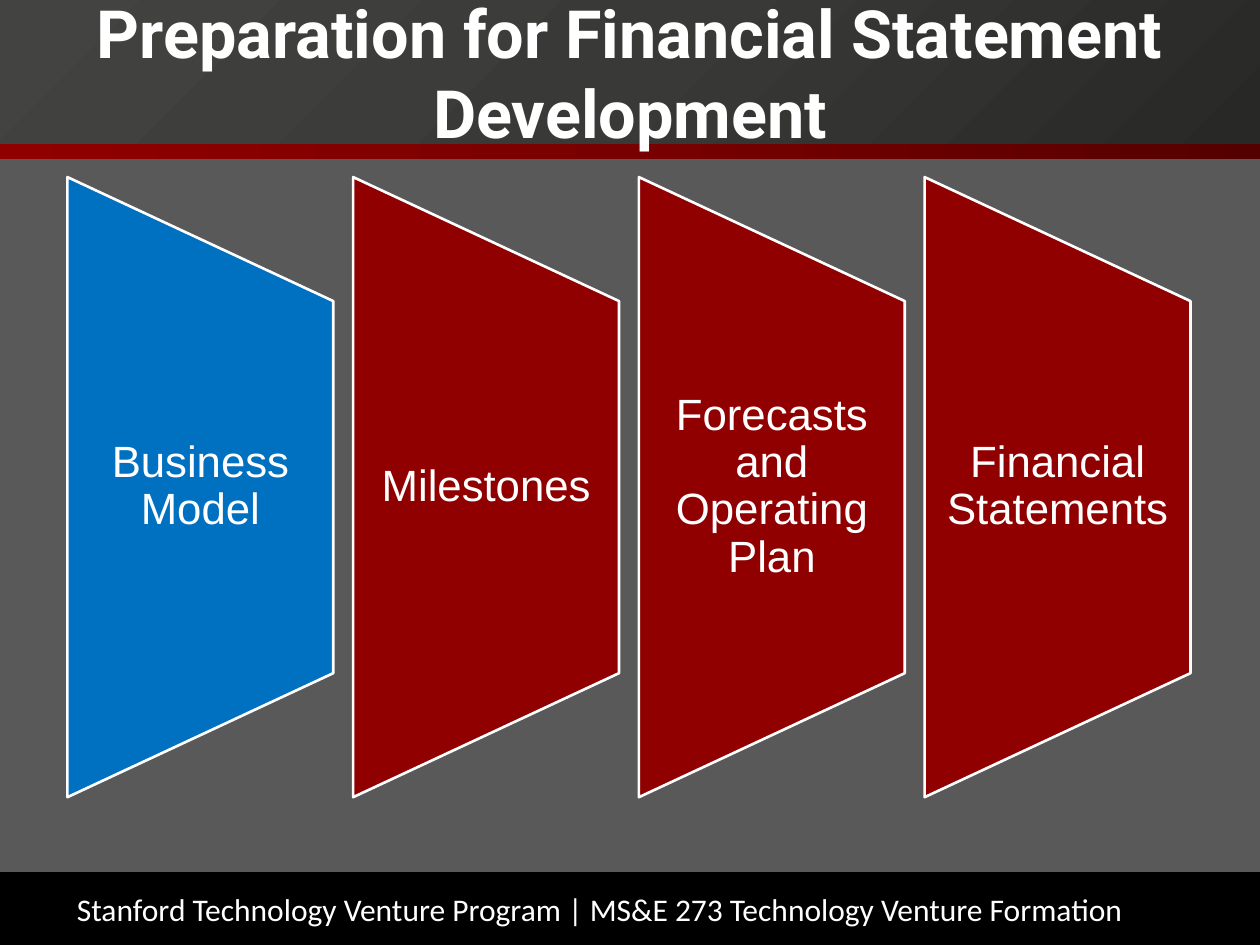
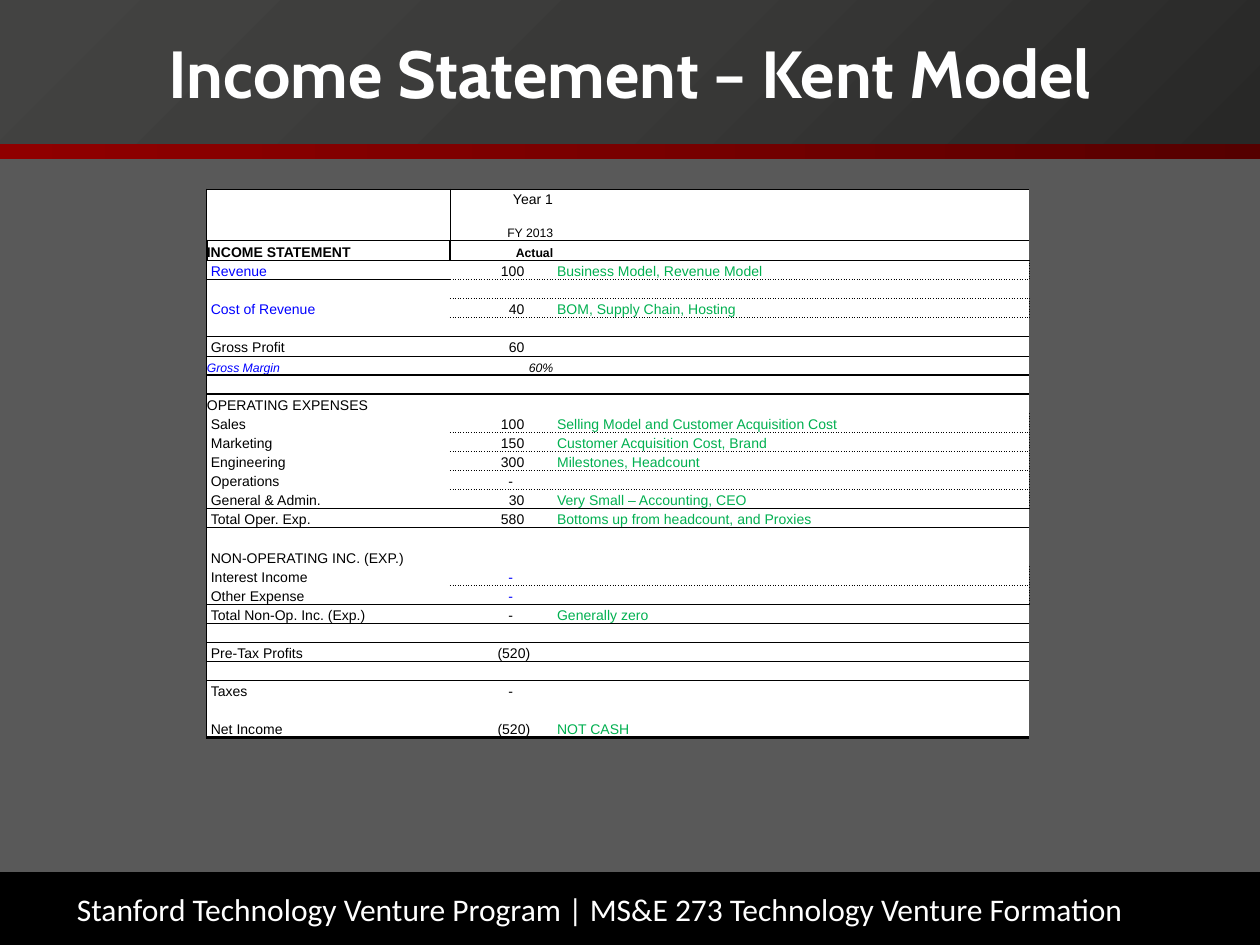
from dataclasses import dataclass
from typing import NamedTuple, Optional

from lxml import etree
from pptx import Presentation
from pptx import util as u
from pptx.dml.color import RGBColor
from pptx.enum import shapes, text
from pptx.oxml.ns import qn

WHITE, BLACK, GREY = "FFFFFF", "000000", "595959"
RED, BLUE = "900000", "0070C0"
INK_BLUE, NOTE_GREEN = "0000FF", "00B050"
TITLE_BAND = ["434342", "393938", "282827"]
RED_BAND = ["900000", "790000", "550000"]
PAGE_WIDTH, PAGE_HEIGHT = 25.4, 19.05
FOOTER = "Stanford Technology Venture Program | MS&E 273 Technology Venture Formation"
NO_TABLE_STYLE = "{2D5ABB26-0587-4C30-8999-92F81FD0307C}"

LEFT, CENTER, RIGHT = text.PP_ALIGN.LEFT, text.PP_ALIGN.CENTER, text.PP_ALIGN.RIGHT
MIDDLE, BOTTOM = text.MSO_ANCHOR.MIDDLE, text.MSO_ANCHOR.BOTTOM


class Area(NamedTuple):
    """A rectangle in centimetres."""
    left: float
    top: float
    width: float
    height: float

    def lengths(self) -> list:
        return [u.Cm(value) for value in self]


@dataclass(frozen=True)
class Look:
    size: float = 8
    color: str = BLACK
    bold: bool = False
    italic: bool = False
    font: str = "Arial"


class Rule(NamedTuple):
    """A line under a table row, drawn below the given columns."""
    width: float
    dash: str = "solid"
    columns: tuple = (0, 1, 2)


DOTS = Rule(0.5, "dot", (1, 2))
LINE, THICK, TOTAL = Rule(0.5), Rule(1), Rule(2)
BOX = Rule(1, "solid", (0,))

PLAIN, INPUT, NOTE = Look(), Look(color=INK_BLUE), Look(color=NOTE_GREEN)
SMALL = Look(7)


@dataclass(frozen=True)
class Row:
    label: str = ""
    amount: str = ""
    note: str = ""
    rule: Optional[Rule] = None
    label_look: Look = PLAIN
    amount_look: Look = PLAIN
    indent: float = 0.08


STATEMENT = [
    Row(amount="Year 1"),
    Row(amount="FY 2013", rule=LINE, amount_look=SMALL),
    Row("INCOME STATEMENT", "Actual", "", BOX, Look(bold=True), Look(7, bold=True), 0),
    Row("Revenue", "100", "Business Model, Revenue Model", DOTS, INPUT),
    Row(),
    Row("Cost of Revenue", "40", "BOM, Supply Chain, Hosting", DOTS, INPUT),
    Row(rule=LINE),
    Row("Gross Profit", "60"),
    Row("Gross Margin", "60%", "", THICK, Look(7, INK_BLUE, italic=True),
        Look(7, italic=True), 0),
    Row(),
    Row("OPERATING EXPENSES", indent=0),
    Row("Sales", "100", "Selling Model and Customer Acquisition Cost", DOTS),
    Row("Marketing", "150", "Customer Acquisition Cost, Brand", DOTS),
    Row("Engineering", "300", "Milestones, Headcount", DOTS),
    Row("Operations", "-", "", DOTS),
    Row("General & Admin.", "30", "Very Small – Accounting, CEO", LINE),
    Row("Total Oper. Exp.", "580", "Bottoms up from headcount, and Proxies"),
    Row(),
    Row("NON-OPERATING INC. (EXP.)"),
    Row("Interest Income", "-", "", DOTS, amount_look=INPUT),
    Row("Other Expense", "-", "", LINE, amount_look=INPUT),
    Row("Total Non-Op. Inc. (Exp.)", "-", "Generally zero"),
    Row(rule=LINE),
    Row("Pre-Tax Profits", "(520)", "", THICK),
    Row(),
    Row("Taxes", "-"),
    Row(),
    Row("Net Income", "(520)", "NOT CASH", TOTAL),
]
COLUMN_WIDTHS = [4.9, 2.08, 9.6]
HEADER_HEIGHTS = [0.38, 0.65, 0.41]
BODY_HEIGHT = 9.64


def rgb(color: str) -> RGBColor:
    return RGBColor.from_string(color)


def set_values(target, values: dict) -> None:
    for name, value in values.items():
        setattr(target, name, value)


def write(frame, words: str, look: Look, align=LEFT, spacing: Optional[float] = None) -> None:
    para = frame.paragraphs[0]
    para.alignment = align
    if spacing:
        para.line_spacing = spacing
    span = para.add_run()
    span.text = words
    set_values(span.font, {"name": look.font, "size": u.Pt(look.size),
                           "bold": look.bold, "italic": look.italic})
    span.font.color.rgb = rgb(look.color)


def add_block(page, kind, area: Area, fill: Optional[str] = None, line: Optional[str] = None):
    block = page.shapes.add_shape(kind, *area.lengths())
    block.shadow.inherit = False
    if fill:
        block.fill.solid()
        block.fill.fore_color.rgb = rgb(fill)
    if line:
        block.line.color.rgb = rgb(line)
        block.line.width = u.Pt(1.5)
    else:
        block.line.fill.background()
    return block


def add_band(page, area: Area, colors: list, angle: int) -> None:
    """Draw a bar whose gradient runs evenly through the colours."""
    band = add_block(page, shapes.MSO_SHAPE.RECTANGLE, area)
    band.fill.gradient()
    band.fill.gradient_angle = angle
    stops = band._element.spPr.find(qn("a:gradFill")).find(qn("a:gsLst"))
    for stop in list(stops):
        stops.remove(stop)
    for index, color in enumerate(colors):
        position = index * 100000 // (len(colors) - 1)
        stop = etree.SubElement(stops, qn("a:gs"), pos=str(position))
        etree.SubElement(stop, qn("a:srgbClr"), val=color)


def add_text(page, area: Area, words: str, look: Look, margin: float,
             spacing: Optional[float] = None) -> None:
    frame = page.shapes.add_textbox(*area.lengths()).text_frame
    set_values(frame, {"word_wrap": True, "vertical_anchor": MIDDLE,
                       "margin_left": u.Cm(margin), "margin_right": u.Cm(margin)})
    write(frame, words, look, CENTER, spacing)


def add_page(deck, title: str, title_font: str):
    page = deck.slides.add_slide(deck.slide_layouts[6])
    page.background.fill.solid()
    page.background.fill.fore_color.rgb = rgb(GREY)
    footer = add_block(page, shapes.MSO_SHAPE.RECTANGLE,
                       Area(0, 17.58, PAGE_WIDTH, 1.47), BLACK)
    set_values(footer.text_frame, {"margin_left": u.Cm(1.55), "word_wrap": True,
                                   "vertical_anchor": MIDDLE})
    write(footer.text_frame, FOOTER, Look(18, WHITE, font="Calibri"))
    add_band(page, Area(0, 1.17, PAGE_WIDTH, 2.03), RED_BAND, 0)
    add_band(page, Area(0, 0, PAGE_WIDTH, 2.9), TITLE_BAND, 315)
    add_text(page, Area(0.64, 0.08, 24.13, 2.74), title,
             Look(38, WHITE, bold=True, font=title_font), 0.25)
    return page


def add_steps(page, steps: list) -> None:
    """Draw a row of tapering panels, the first one highlighted."""
    length, breadth, pitch, text_height = 12.5, 5.36, 5.76, 7.5
    first_center, middle = 4.04, 9.82
    for index, step in enumerate(steps):
        center = first_center + index * pitch
        panel = add_block(page, shapes.MSO_SHAPE.FLOWCHART_MANUAL_OPERATION,
                          Area(center - length / 2, middle - breadth / 2, length, breadth),
                          RED if index else BLUE, WHITE)
        panel.rotation = 270
        add_text(page, Area(center - breadth / 2, middle - text_height / 2, breadth, text_height),
                 step, Look(25, WHITE), 0.4, 0.9)


def amount_margin(amount: str) -> float:
    """Right margin that lines up figures, dashes and bracketed losses."""
    if amount == "-":
        return 0.81
    if amount.startswith("("):
        return 0.46
    return 0.58 if amount.isdigit() else 0


def cell_edges(index: int, column: int) -> dict:
    row = STATEMENT[index]
    above = STATEMENT[index - 1].rule if index else LINE
    edges = {}
    if column == 0:
        side = BOX if row.rule == BOX else LINE
        edges["L"] = side
        if index < len(HEADER_HEIGHTS):
            edges["R"] = side
    if column == 2 and row.label and DOTS in (row.rule, above):
        edges["R"] = DOTS
    for name, rule in (("T", above), ("B", row.rule)):
        if rule and column in rule.columns:
            edges[name] = rule
    return edges


def draw_edges(cell, edges: dict) -> None:
    properties = cell._tc.get_or_add_tcPr()
    for name, rule in edges.items():
        edge = etree.SubElement(properties, qn(f"a:ln{name}"), w=str(u.Pt(rule.width)))
        fill = etree.SubElement(edge, qn("a:solidFill"))
        etree.SubElement(fill, qn("a:srgbClr"), val=BLACK)
        etree.SubElement(edge, qn("a:prstDash"), val=rule.dash)


def fill_cell(cell, words: str, look: Look, align, left: float, right: float) -> None:
    set_values(cell, {"margin_left": u.Cm(left), "margin_right": u.Cm(right),
                      "margin_top": 0, "margin_bottom": 0, "vertical_anchor": BOTTOM})
    cell.fill.solid()
    cell.fill.fore_color.rgb = rgb(WHITE)
    if words:
        write(cell.text_frame, words, look, align)
    else:
        etree.SubElement(cell.text_frame.paragraphs[0]._p, qn("a:endParaRPr"),
                         sz=str(look.size * 100))


def add_statement(page) -> None:
    body_rows = len(STATEMENT) - len(HEADER_HEIGHTS)
    heights = HEADER_HEIGHTS + [BODY_HEIGHT / body_rows] * body_rows
    area = Area(4.17, 3.81, sum(COLUMN_WIDTHS), sum(heights))
    table = page.shapes.add_table(len(heights), len(COLUMN_WIDTHS), *area.lengths()).table
    set_values(table, {"first_row": False, "horz_banding": False})
    table._tbl.tblPr.find(qn("a:tableStyleId")).text = NO_TABLE_STYLE
    for column, width in zip(table.columns, COLUMN_WIDTHS):
        column.width = u.Cm(width)
    for index, (row, height) in enumerate(zip(STATEMENT, heights)):
        table.rows[index].height = u.Cm(height)
        contents = [
            (row.label, row.label_look, LEFT, row.indent, 0),
            (row.amount, row.amount_look, RIGHT, 0, amount_margin(row.amount)),
            (row.note, NOTE, LEFT, 0.08, 0),
        ]
        for column, content in enumerate(contents):
            cell = table.cell(index, column)
            draw_edges(cell, cell_edges(index, column))
            fill_cell(cell, *content)


def main() -> None:
    deck = Presentation()
    deck.slide_width, deck.slide_height = u.Cm(PAGE_WIDTH), u.Cm(PAGE_HEIGHT)
    page = add_page(deck, "Preparation for Financial Statement Development", "Roboto")
    add_steps(page, ["Business Model", "Milestones", "Forecasts and Operating Plan",
                     "Financial Statements"])
    page = add_page(deck, "Income Statement – Kent Model", "Cabin")
    add_statement(page)
    deck.save("out.pptx")


if __name__ == "__main__":
    main()
